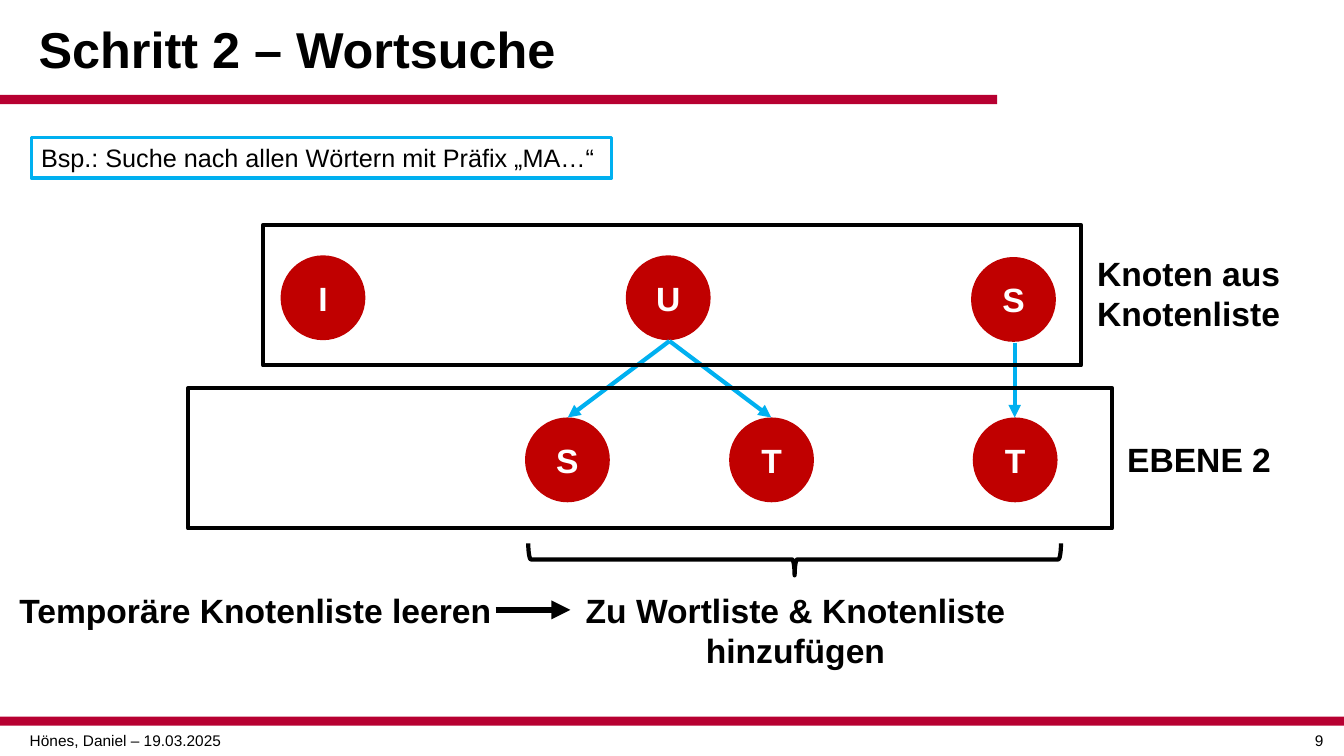
import dataclasses
import typing

import pptx
import pptx.dml.color
import pptx.enum.shapes
import pptx.enum.text
import pptx.oxml
import pptx.oxml.ns
import pptx.util

RGB = pptx.dml.color.RGBColor
BLACK = RGB(0x00, 0x00, 0x00)
WHITE = RGB(0xFF, 0xFF, 0xFF)
WINE = RGB(0xB7, 0x00, 0x31)
RED = RGB(0xC0, 0x00, 0x00)
BLUE = RGB(0x00, 0xB0, 0xF0)

KIND = pptx.enum.shapes.MSO_SHAPE
ALIGN = pptx.enum.text.PP_ALIGN
ANCHOR = pptx.enum.text.MSO_ANCHOR

# Square grid of 160 columns and 90 rows
WIDE, HIGH = pptx.util.Inches(13.33), pptx.util.Inches(7.5)
COLS, ROWS = 160, 90
NODE = 10.1  # node diameter in cells


def col(n: float) -> int:
    return round(WIDE * n / COLS)


def row(n: float) -> int:
    return round(HIGH * n / ROWS)


@dataclasses.dataclass
class Box:
    x: float
    y: float
    w: float
    h: float

    def place(self) -> tuple[int, int, int, int]:
        return col(self.x), row(self.y), col(self.w), row(self.h)


@dataclasses.dataclass
class Label:
    text: str
    box: Box
    size: int = 24
    bold: bool = True


@dataclasses.dataclass
class Node:
    text: str
    x: float
    y: float


@dataclasses.dataclass
class Arrow:
    x1: float
    y1: float
    x2: float
    y2: float
    tint: RGB = BLUE
    width: float = 3


def write(shape: typing.Any, text: str, size: int, bold: bool = True,
          tint: RGB = BLACK, align: typing.Any = ALIGN.CENTER,
          anchor: typing.Any = ANCHOR.TOP) -> None:
    frame = shape.text_frame
    frame.text = text
    para = frame.paragraphs[0]
    para.font.color.rgb = tint
    look = {
        frame: {"word_wrap": True, "vertical_anchor": anchor},
        para: {"alignment": align},
        para.font: {"name": "Arial", "size": pptx.util.Pt(size), "bold": bold},
    }
    for part, values in look.items():
        for key, value in values.items():
            setattr(part, key, value)


def draw(slide: typing.Any, kind: typing.Any, box: Box,
         fill: RGB | None = None, line: RGB | None = None,
         width: float = 3) -> typing.Any:
    shape = slide.shapes.add_shape(kind, *box.place())
    shape.shadow.inherit = False
    if fill is None:
        shape.fill.background()
    else:
        shape.fill.solid()
        shape.fill.fore_color.rgb = fill
    if line is None:
        shape.line.fill.background()
    else:
        shape.line.color.rgb = line
        shape.line.width = pptx.util.Pt(width)
    return shape


def point(slide: typing.Any, arrow: Arrow) -> None:
    link = slide.shapes.add_connector(
        pptx.enum.shapes.MSO_CONNECTOR.STRAIGHT,
        col(arrow.x1), row(arrow.y1), col(arrow.x2), row(arrow.y2))
    link.line.color.rgb = arrow.tint
    link.line.width = pptx.util.Pt(arrow.width)
    tail = pptx.oxml.parse_xml(
        f'<a:tailEnd {pptx.oxml.ns.nsdecls("a")} type="triangle"/>')
    link.line._get_or_add_ln().append(tail)
    link._element.spPr.append(pptx.oxml.parse_xml(
        f'<a:effectLst {pptx.oxml.ns.nsdecls("a")}/>'))


BARS = [Box(0, 11.3, 118.7, 1.1), Box(0, 85.3, COLS, 1.1)]
FRAMES = [Box(31.3, 26.8, 97.4, 16.7), Box(22.4, 46.2, 110, 16.7)]
TOP, LOW = 30.4, 49.7
NODES = [
    Node("I", 33.4, TOP), Node("U", 74.5, TOP), Node("S", 115.6, TOP + 0.2),
    Node("S", 62.5, LOW), Node("T", 86.8, LOW), Node("T", 115.8, LOW),
]
ARROWS = [
    Arrow(79.7, 40.6, 67.6, LOW),
    Arrow(79.7, 40.6, 91.8, LOW),
    Arrow(120.8, 40.8, 120.8, LOW),
    Arrow(59, 72.6, 67.9, 72.6, BLACK, 4.5),
]
LABELS = [
    Label("Knoten aus Knotenliste", Box(129.1, 29.5, 24.8, 10.9)),
    Label("EBENE 2", Box(131.6, 51.7, 22.3, 6)),
    Label("Zu Wortliste & Knotenliste hinzufügen", Box(63, 69.6, 63.4, 10.9)),
    Label("Temporäre Knotenliste leeren", Box(0.7, 69.6, 59.4, 6)),
    Label("Hönes, Daniel – 19.03.2025", Box(0, 86.4, 29.9, 3.5), 11, False),
    Label("9", Box(154, 86.4, 6.1, 3.5), 11, False),
]


def main() -> None:
    deck = pptx.Presentation()
    deck.slide_width, deck.slide_height = WIDE, HIGH
    slide = deck.slides.add_slide(deck.slide_layouts[5])

    # Title and bars
    title = slide.shapes.title
    title.left, title.top, title.width, title.height = Box(
        3.4, 1.1, 134.6, 10.2).place()
    write(title, "Schritt 2 – Wortsuche", 36,
          align=ALIGN.LEFT, anchor=ANCHOR.MIDDLE)
    title.text_frame.paragraphs[0].line_spacing = 0.9
    for bar in BARS:
        draw(slide, KIND.RECTANGLE, bar, fill=WINE)

    # Search example
    sample = draw(slide, KIND.RECTANGLE, Box(3.7, 16.4, 69.1, 4.8),
                  line=BLUE, width=2.25)
    write(sample, "Bsp.: Suche nach allen Wörtern mit Präfix „MA…“", 18,
          bold=False, align=ALIGN.LEFT)

    # Tree levels
    for node in NODES:
        disc = draw(slide, KIND.OVAL, Box(node.x, node.y, NODE, NODE), fill=RED)
        write(disc, node.text, 24, tint=WHITE, anchor=ANCHOR.MIDDLE)
    for arrow in ARROWS:
        point(slide, arrow)
    for frame in FRAMES:
        draw(slide, KIND.RECTANGLE, frame, line=BLACK)

    # Brace below the second level
    brace = draw(slide, KIND.RIGHT_BRACE, Box(92.7, 34.9, 3.8, 63.4), line=BLACK)
    brace.rotation = 90

    # Labels and footer
    for label in LABELS:
        field = slide.shapes.add_textbox(*label.box.place())
        write(field, label.text, label.size, label.bold)

    deck.save("out.pptx")


if __name__ == "__main__":
    main()
